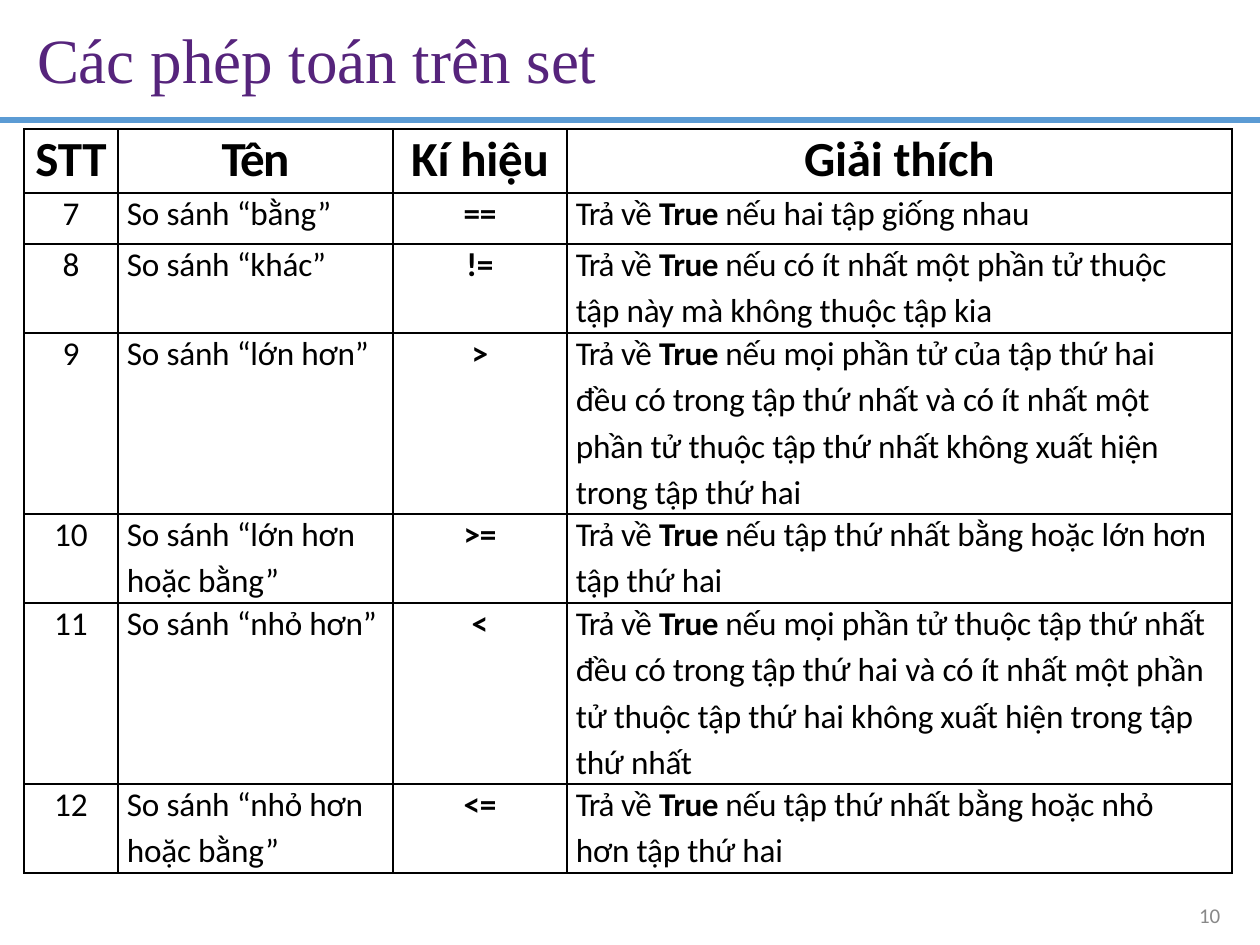
from lxml import etree
from pptx import Presentation
from pptx.dml.color import RGBColor
from pptx.enum.shapes import MSO_CONNECTOR
from pptx.enum.text import PP_ALIGN
from pptx.oxml import parse_xml
from pptx.oxml.ns import nsdecls, qn
from pptx.util import Pt

STRAIGHT = MSO_CONNECTOR.STRAIGHT
LEFT, CENTER = PP_ALIGN.LEFT, PP_ALIGN.CENTER
SCALE = 914400 / 126

TITLE = [("Các phép toán trên ", 0), ("set", -0.1)]
PAGE_NUMBER = "10"
HEADERS = [("STT", -0.1), ("Tên", -0.9), ("Kí hiệu", -0.1), ("Giải thích", -0.1)]
OPERATIONS = [
    ("7", ["So sánh “bằng”"], "==", ["nếu hai tập giống nhau"]),
    ("8", ["So sánh “khác”"], "!=",
     ["nếu có ít nhất một phần tử thuộc", "tập này mà không thuộc tập kia"]),
    ("9", ["So sánh “lớn hơn”"], ">",
     ["nếu mọi phần tử của tập thứ hai",
      "đều có trong tập thứ nhất và có ít nhất một",
      "phần tử thuộc tập thứ nhất không xuất hiện",
      "trong tập thứ hai"]),
    ("10", ["So sánh “lớn hơn", "hoặc bằng”"], ">=",
     ["nếu tập thứ nhất bằng hoặc lớn hơn", "tập thứ hai"]),
    ("11", ["So sánh “nhỏ hơn”"], "<",
     ["nếu mọi phần tử thuộc tập thứ nhất",
      "đều có trong tập thứ hai và có ít nhất một phần",
      "tử thuộc tập thứ hai không xuất hiện trong tập thứ nhất"]),
    ("12", ["So sánh “nhỏ hơn", "hoặc bằng”"], "<=",
     ["nếu tập thứ nhất bằng hoặc nhỏ", "hơn tập thứ hai"]),
]
EXPLANATION_START = [("Trả ", -0.6, False), ("về ", -0.2, False), ("True ", -0.3, True)]
COLUMN_WIDTHS = [94, 275, 174, 665]
ROW_HEIGHTS = [64, 51, 89, 181, 89, 181, 89]
WRAPPED_LINE = OPERATIONS[4][3][-1]

TITLE_FONT = {"name": "Times New Roman", "size": Pt(36)}
NUMBER_FONT = {"name": "Calibri", "size": Pt(12)}
HEADER_FONT = {"name": "Calibri", "size": Pt(28), "bold": True}
BODY_FONT = {"name": "Calibri", "size": Pt(19), "bold": False}


def px(value):
    return round(value * SCALE)


def color(value):
    return RGBColor.from_string(value)


def apply(target, values):
    for name, value in values.items():
        setattr(target, name, value)


def add_runs(paragraph, pieces, font, ink="000000"):
    for text, spacing, *bold in pieces:
        run = paragraph.add_run()
        run.text = text
        apply(run.font, font)
        if bold:
            run.font.bold = bold[0]
        run.font.color.rgb = color(ink)
        run.font._element.set("spc", str(round(spacing * 100)))


def add_label(slide, box, pieces, font, ink, indent, layout):
    shape = slide.shapes.add_textbox(*map(px, box))
    apply(shape.text_frame, {"margin_left": 0, "margin_right": 0, "margin_top": px(1),
                             "margin_bottom": 0, "word_wrap": False})
    paragraph = shape.text_frame.paragraphs[0]
    apply(paragraph, layout)
    paragraph._p.get_or_add_pPr().set("marL", str(px(indent)))
    add_runs(paragraph, pieces, font, ink)


def add_border(cell):
    properties = cell._tc.get_or_add_tcPr()
    for side in ("lnL", "lnR", "lnT", "lnB"):
        properties.append(parse_xml(
            f'<a:{side} {nsdecls("a")} w="12700"><a:solidFill>'
            f'<a:srgbClr val="000000"/></a:solidFill></a:{side}>'))
    cell.fill.background()


def fill_cell(cell, lines, font, alignment, first_space):
    apply(cell, {"margin_left": 0, "margin_right": 0, "margin_top": px(1), "margin_bottom": 0})
    add_border(cell)
    for index, pieces in enumerate(lines):
        frame = cell.text_frame
        paragraph = frame.add_paragraph() if index else frame.paragraphs[0]
        apply(paragraph, {"alignment": alignment,
                          "space_before": Pt(3.4 if index else first_space)})
        if alignment == LEFT:
            paragraph._p.get_or_add_pPr().set("marL", str(px(9)))
        if pieces[0][0] == WRAPPED_LINE:
            apply(paragraph, {"line_spacing": 1.15, "space_before": Pt(0.1)})
        add_runs(paragraph, pieces, font)


def add_operations_table(slide):
    frame = slide.shapes.add_table(
        len(ROW_HEIGHTS), len(COLUMN_WIDTHS), px(24), px(129),
        px(sum(COLUMN_WIDTHS)), px(sum(ROW_HEIGHTS)))
    table = frame.table
    apply(table, {"first_row": False, "horz_banding": False})
    for column, width in zip(table.columns, COLUMN_WIDTHS):
        column.width = px(width)
    for row, height in zip(table.rows, ROW_HEIGHTS):
        row.height = px(height)
    for column, header in enumerate(HEADERS):
        fill_cell(table.cell(0, column), [[header]], HEADER_FONT, CENTER, 1.1)
    for row, (number, name, symbol, explanation) in enumerate(OPERATIONS, 1):
        name_lines = [[(line, -0.1)] for line in name]
        explanation_lines = [[(line, -0.1)] for line in explanation]
        explanation_lines[0] = EXPLANATION_START + explanation_lines[0]
        contents = [
            ([[(number, 0)]], CENTER),
            (name_lines, LEFT),
            ([[(symbol, -0.1, True)]], CENTER),
            (explanation_lines, LEFT),
        ]
        for column, (lines, alignment) in enumerate(contents):
            fill_cell(table.cell(row, column), lines, BODY_FONT, alignment, 0.7)


def main():
    presentation = Presentation()
    apply(presentation, {"slide_width": px(1260), "slide_height": px(945)})
    slide = presentation.slides.add_slide(presentation.slide_layouts[6])
    rule = slide.shapes.add_connector(STRAIGHT, 0, px(120), px(1260), px(120))
    rule.line.color.rgb = color("5B9BD4")
    rule.line.width = Pt(3)
    etree.SubElement(rule._element.spPr, qn("a:effectLst"))
    add_label(slide, (35, 20, 563, 79), TITLE, TITLE_FONT, "56247C", 2,
              {"space_before": Pt(1)})
    add_label(slide, (1194, 905, 32, 24), [(PAGE_NUMBER, 0)], NUMBER_FONT, "888888", 5,
              {"line_spacing": Pt(12.4)})
    add_operations_table(slide)
    presentation.save("out.pptx")


if __name__ == "__main__":
    main()
